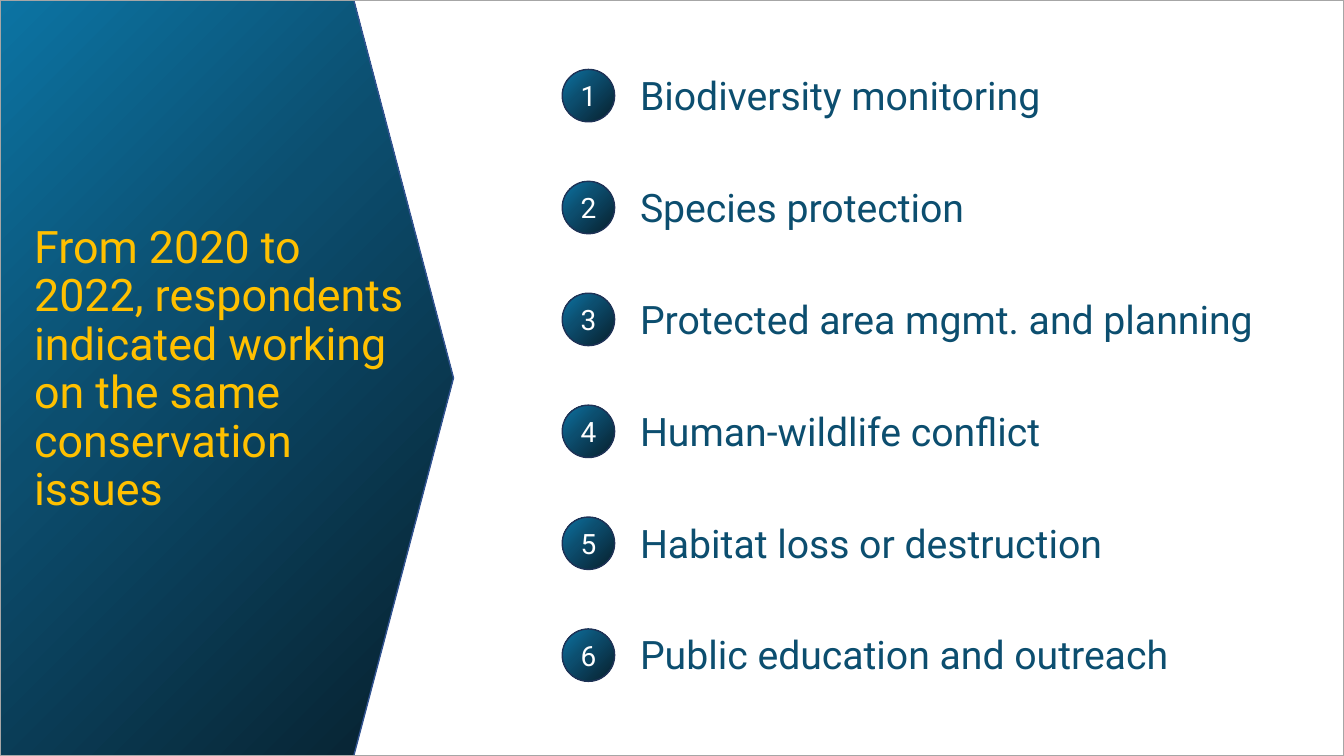
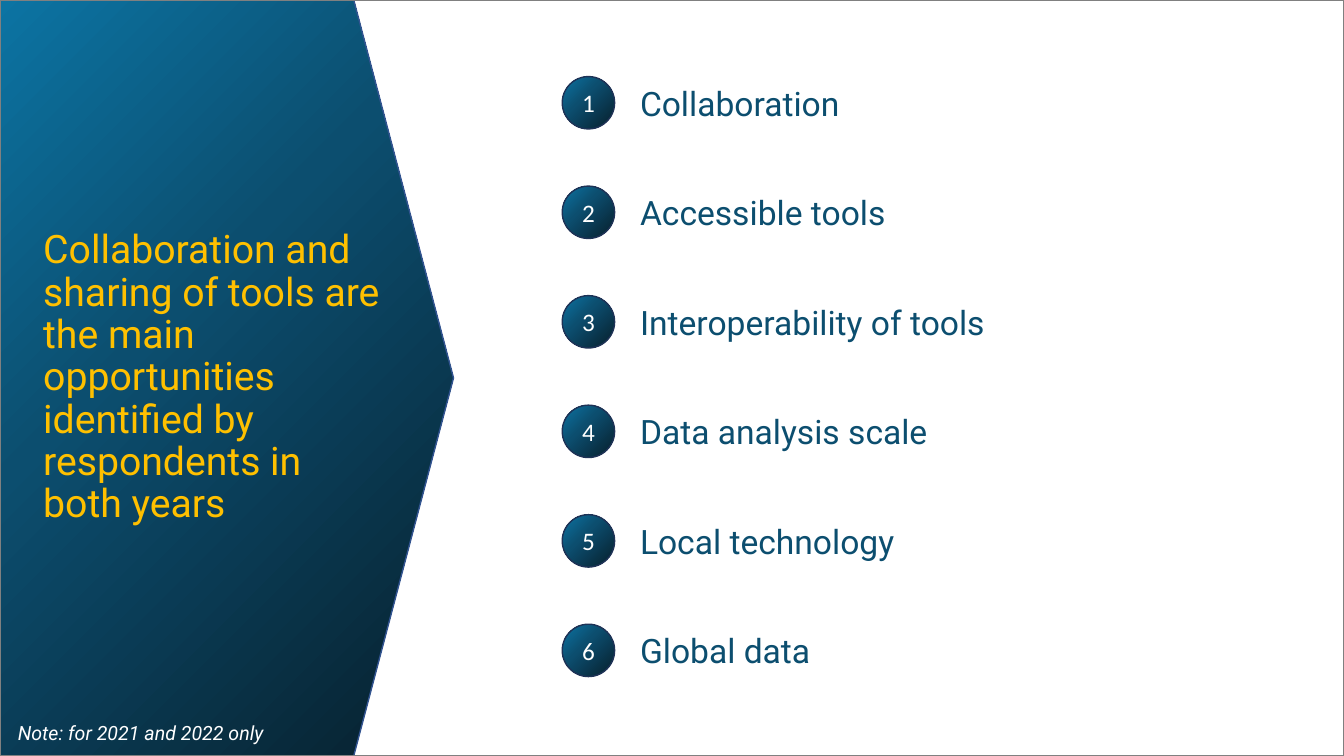
"""Build two numbered-list slides beside a gradient arrow panel."""
from pptx import Presentation
from pptx.dml.color import RGBColor as RGB
from pptx.enum.shapes import MSO_SHAPE as Geom
from pptx.enum.text import MSO_ANCHOR as Anchor, MSO_AUTO_SIZE as Fit, PP_ALIGN as Align
from pptx.oxml import parse_xml
from pptx.oxml.ns import nsdecls
from pptx.util import Cm, Pt

SKY = RGB(0x0C, 0x74, 0xA3)
TEAL = RGB(0x0C, 0x4E, 0x6F)
NIGHT = RGB(0x07, 0x1F, 0x2C)
NAVY = RGB(0x1E, 0x32, 0x56)
BLUE = RGB(0x32, 0x54, 0x91)
GOLD = RGB(0xFF, 0xC0, 0x00)
WHITE = RGB(0xFF, 0xFF, 0xFF)
SILVER = RGB(0xA6, 0xA6, 0xA6)
GRAY = RGB(0x80, 0x80, 0x80)

WIDE, HIGH = 33.87, 19.05
STOPS = ((0, SKY), (40, TEAL), (100, NIGHT))


class Deck:
    """Hold the shared style and the current slide."""

    def __init__(self):
        self.prs = Presentation()
        self.prs.slide_width, self.prs.slide_height = Cm(WIDE), Cm(HIGH)
        self.slide = None

    def start(self):
        self.slide = self.prs.slides.add_slide(self.prs.slide_layouts[6])
        panel = self.shape(self.slide.shapes, Geom.PENTAGON, (0, 0, 11.43, HIGH), BLUE)
        panel.adjustments[0] = 0.22
        self.shade(panel)

    def shape(self, home, kind, box, color, width=1):
        item = home.add_shape(kind, *map(Cm, box))
        item.shadow.inherit = False
        item.line.color.rgb = color
        item.line.width = Pt(width)
        return item

    def shade(self, item):
        stops = "".join(
            f'<a:gs pos="{pos * 1000}"><a:srgbClr val="{color}"/></a:gs>'
            for pos, color in STOPS)
        fill = parse_xml(
            f'<a:gradFill {nsdecls("a")} rotWithShape="1"><a:gsLst>{stops}</a:gsLst>'
            '<a:path path="circle"><a:fillToRect r="100000" b="100000"/></a:path>'
            '<a:tileRect l="-100000" t="-100000"/></a:gradFill>')
        item.fill.background()
        old = item.element.spPr.find(fill.tag.replace("gradFill", "noFill"))
        item.element.spPr.replace(old, fill)

    def label(self, item, text, size, color, name="Roboto", italic=None, frame=None, para=None):
        body = item.text_frame
        line = body.paragraphs[0]
        line.text = text
        font = line.runs[0].font
        font.color.rgb = color
        looks = (
            (body, {"word_wrap": True, **(frame or {})}),
            (line, para or {}),
            (font, {"size": Pt(size), "name": name, "italic": italic}),
        )
        for part, style in looks:
            for key, value in style.items():
                setattr(part, key, value)

    def block(self, text, box, size, color, italic=None):
        item = self.slide.shapes.add_textbox(*map(Cm, box))
        self.label(item, text, size, color, italic=italic,
                   frame={"vertical_anchor": Anchor.MIDDLE}, para={"line_spacing": 0.9})

    def items(self, names, top, pitch, size, high, shift, digit, face):
        for num, name in enumerate(names):
            y = top + num * pitch
            home = self.slide.shapes.add_group_shape().shapes
            disc = self.shape(home, Geom.OVAL, (14.17, y, 1.32, 1.32), NAVY)
            self.shade(disc)
            self.label(disc, str(num + 1), digit, WHITE, face,
                       frame={"word_wrap": False, "vertical_anchor": Anchor.MIDDLE},
                       para={"alignment": Align.CENTER})
            entry = home.add_textbox(*map(Cm, (15.88, y + shift, 16.56, high)))
            self.label(entry, name, size, TEAL, frame={"auto_size": Fit.SHAPE_TO_FIT_TEXT})

    def border(self, color, width):
        edge = self.shape(self.slide.shapes, Geom.RECTANGLE, (0, 0, WIDE, HIGH), color, width)
        edge.fill.background()


def main():
    deck = Deck()

    deck.start()
    deck.block("From 2020 to 2022, respondents indicated working on the same "
               "conservation issues", (0.61, 8.18, 9.98, 2.29), 32, GOLD)
    deck.items(("Biodiversity monitoring", "Species protection",
                "Protected area mgmt. and planning", "Human-wildlife conflict",
                "Habitat loss or destruction", "Public education and outreach"),
               top=1.75, pitch=2.82, size=28, high=1.45, shift=-0.08,
               digit=20, face="Roboto")
    deck.border(SILVER, 1)

    deck.start()
    deck.block("Collaboration and sharing of tools are the main opportunities "
               "identified by respondents in both years", (0.84, 8.38, 9.19, 2.29), 28, GOLD)
    deck.items(("Collaboration", "Accessible tools", "Interoperability of tools",
                "Data analysis scale", "Local technology", "Global data"),
               top=1.93, pitch=2.76, size=24, high=1.27, shift=0.03,
               digit=18, face="Calibri")
    deck.border(GRAY, 1.5)
    deck.block("Note: for 2021 and 2022 only", (0.2, 18, 9.19, 1), 14, WHITE, True)

    deck.prs.save("out.pptx")


if __name__ == "__main__":
    main()
